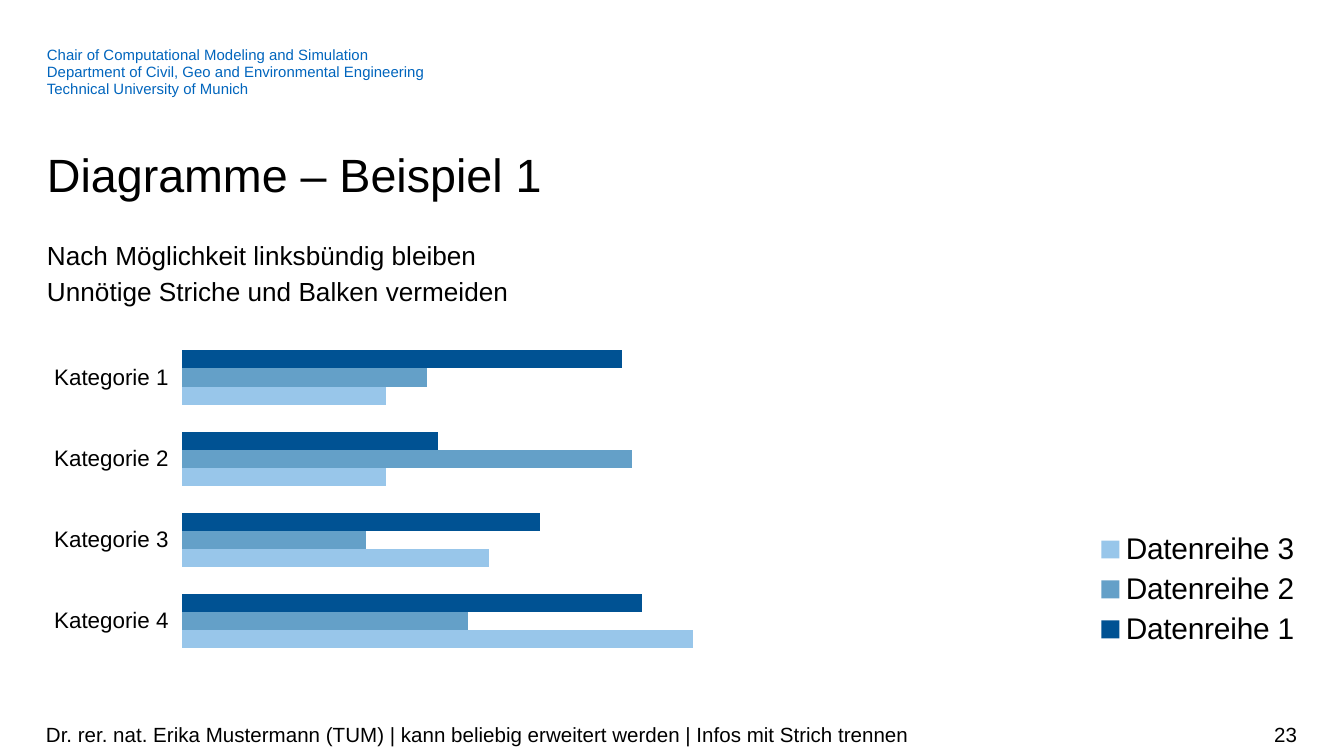
import pptx
import pptx.chart.data
import pptx.dml.color
import pptx.enum.chart
import pptx.enum.text
import pptx.oxml
import pptx.oxml.ns
import pptx.util

SCALE = 914400 / 134.4
FONT = "Arial"
BLACK = "000000"
CATEGORIES = [f"Kategorie {number}" for number in range(1, 5)]
SERIES = [
    ("Datenreihe 1", (86, 50, 70, 90), "005293"),
    ("Datenreihe 2", (48, 88, 36, 56), "64A0C8"),
    ("Datenreihe 3", (40, 40, 60, 100), "98C6EA"),
]
HEADER = [
    "Chair of Computational Modeling and Simulation",
    "Department of Civil, Geo and Environmental Engineering",
    "Technical University of Munich",
]
FOOTER = ("Dr. rer. nat. Erika Mustermann (TUM) | kann beliebig erweitert werden"
          " | Infos mit Strich trennen")
ADVICE = "Nach Möglichkeit linksbündig bleiben\vUnnötige Striche und Balken vermeiden"


def px(value):
    """Turn picture pixels into EMU."""
    return pptx.util.Emu(round(value * SCALE))


def rgb(color):
    """Turn a hex string into a colour."""
    return pptx.dml.color.RGBColor.from_string(color)


def style_font(font, size, color=BLACK):
    """Set typeface, size and colour of a font."""
    font.name = FONT
    font.size = pptx.util.Pt(size)
    font.color.rgb = rgb(color)


def write(box, place, paragraphs, size, color=BLACK, spacing=1.0,
          align="LEFT", anchor="TOP", inset=0):
    """Place a box and fill it with formatted paragraphs."""
    box.left, box.top, box.width, box.height = map(px, place)
    frame = box.text_frame
    frame.word_wrap = True
    frame.auto_size = pptx.enum.text.MSO_AUTO_SIZE.NONE
    frame.vertical_anchor = pptx.enum.text.MSO_ANCHOR[anchor]
    frame.margin_left = frame.margin_right = 0
    frame.margin_top = frame.margin_bottom = px(inset)
    for index, text in enumerate(paragraphs):
        para = frame.paragraphs[0] if index == 0 else frame.add_paragraph()
        para.text = text
        para.alignment = pptx.enum.text.PP_ALIGN[align]
        para.line_spacing = spacing
        para.space_before = para.space_after = pptx.util.Pt(0)
        for span in para.runs:
            style_font(span.font, size, color)


def add_text(page, place, paragraphs, size, **options):
    """Add a text box with formatted paragraphs."""
    box = page.shapes.add_textbox(*map(px, place))
    write(box, place, paragraphs, size, **options)


def layout_xml(x, y, w, h, inner=False):
    """Build a manual chart layout from fractions of the chart."""
    target = '<c:layoutTarget val="inner"/>' if inner else ""
    modes = "".join(f'<c:{key}Mode val="edge"/>' for key in "xy")
    values = "".join(f'<c:{key} val="{value}"/>'
                     for key, value in zip("xywh", (x, y, w, h)))
    return pptx.oxml.parse_xml(
        f'<c:layout {pptx.oxml.ns.nsdecls("c")}><c:manualLayout>'
        f'{target}{modes}{values}</c:manualLayout></c:layout>')


def set_layout(element, layout, before):
    """Put a layout into a chart part ahead of its given child tags."""
    for old in element.findall(pptx.oxml.ns.qn("c:layout")):
        element.remove(old)
    tags = [pptx.oxml.ns.qn(tag) for tag in before]
    next(child for child in element if child.tag in tags).addprevious(layout)


def add_bar_chart(page, place):
    """Add the clustered bar chart with its legend."""
    data = pptx.chart.data.CategoryChartData()
    data.categories = CATEGORIES
    for name, values, _ in SERIES:
        data.add_series(name, values)
    kind = pptx.enum.chart.XL_CHART_TYPE.BAR_CLUSTERED
    chart = page.shapes.add_chart(kind, *map(px, place), data).chart
    style_font(chart.font, 16)
    chart.has_title = False

    plot = chart.plots[0]
    plot.gap_width = 150
    plot.overlap = 0
    plot.vary_by_categories = False
    for series, (_, _, color) in zip(plot.series, SERIES):
        series.format.fill.solid()
        series.format.fill.fore_color.rgb = rgb(color)

    names = chart.category_axis
    names.reverse_order = True
    names.major_tick_mark = pptx.enum.chart.XL_TICK_MARK.OUTSIDE
    names.format.line.fill.background()
    style_font(names.tick_labels.font, 12)

    scale = chart.value_axis
    scale.minimum_scale, scale.maximum_scale = 0, 120
    scale.has_major_gridlines = False
    scale.visible = False

    chart.has_legend = True
    legend = chart.legend
    legend.position = pptx.enum.chart.XL_LEGEND_POSITION.RIGHT
    legend.include_in_layout = False
    style_font(legend.font, 16)

    area = plot._element.getparent()
    set_layout(area, layout_xml(0.125, 0.003, 0.462, 0.94, True), ["c:barChart"])
    set_layout(legend._element, layout_xml(0.81, 0.55, 0.16, 0.37),
               ["c:overlay", "c:spPr", "c:txPr"])


def main():
    """Build and save the slide."""
    deck = pptx.Presentation()
    deck.slide_width, deck.slide_height = px(1344), px(756)
    page = deck.slides.add_slide(deck.slide_layouts[5])
    add_text(page, (47, 47, 1052, 51), HEADER, 8, color="0065BD", spacing=0.94)
    write(page.shapes.title, (47, 142, 1251, 60), ["Diagramme – Beispiel 1"], 25,
          spacing=pptx.util.Pt(32))
    footer_format = {"anchor": "MIDDLE", "inset": 7}
    add_text(page, (996, 714, 301, 40), ["23"], 11, align="RIGHT", **footer_format)
    add_text(page, (46, 714, 950, 40), [FOOTER], 11, **footer_format)
    add_text(page, (47, 235, 1251, 74), [ADVICE], 14, spacing=1.14)
    add_bar_chart(page, (16, 336, 1328, 345))
    deck.save("out.pptx")


main()
